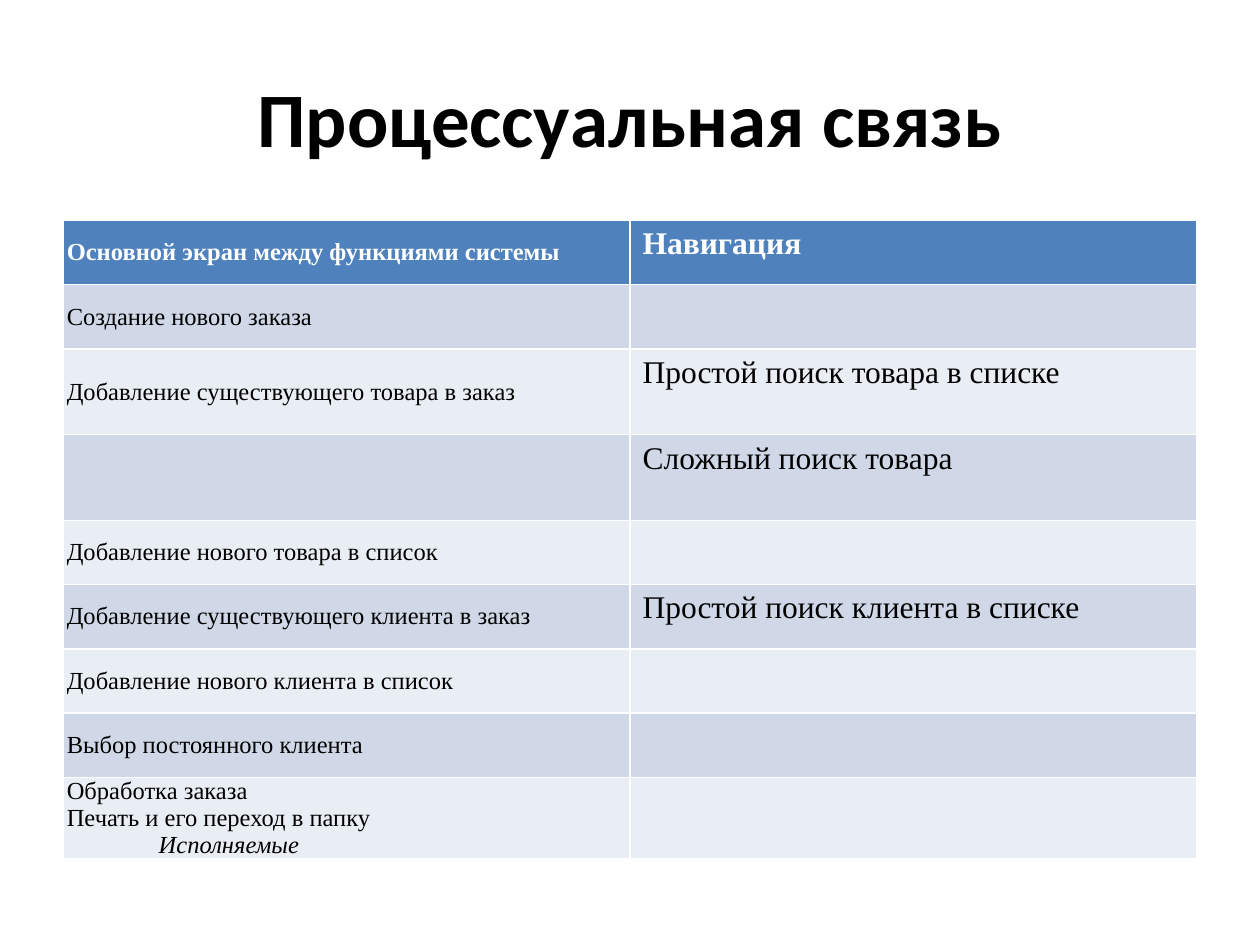
"""Build a slide with a table of process links between system functions."""
import pptx
import pptx.dml.color
import pptx.enum.text
import pptx.util

Inches, Pt = pptx.util.Inches, pptx.util.Pt
RGB = pptx.dml.color.RGBColor.from_string
ANCHOR = pptx.enum.text.MSO_ANCHOR
COLORS = {"header": "4F81BD", "odd": "D0D8E8", "even": "E9EDF4",
          "white": "FFFFFF", "black": "000000"}
ROWS = [
    (0.51, "Основной экран между функциями системы", "Навигация"),
    (0.51, "Создание нового заказа", ""),
    (0.68, "Добавление существующего товара в заказ", "Простой поиск товара в списке"),
    (0.68, "", "Сложный поиск товара"),
    (0.51, "Добавление нового товара в список", ""),
    (0.51, "Добавление существующего клиента в заказ", "Простой поиск клиента в списке"),
    (0.51, "Добавление нового клиента в список", ""),
    (0.51, "Выбор постоянного клиента", ""),
    (0.64, "Обработка заказа\nПечать и его переход в папку\nИсполняемые", ""),
]
FUNCTION_CELL = {"vertical_anchor": ANCHOR.MIDDLE,
                 "margin_left": Inches(0.03), "margin_right": Inches(0.03),
                 "margin_top": 0, "margin_bottom": 0}


def set_font(font, color, **values):
    font.color.rgb = RGB(COLORS[color])
    for name, value in values.items():
        setattr(font, name, value)


prs = pptx.Presentation()
prs.slide_width, prs.slide_height = Inches(10), Inches(7.5)
s = prs.slides.add_slide(prs.slide_layouts[5])

title = s.shapes.title
title.left, title.top = Inches(0.5), Inches(0.3)
title.width, title.height = Inches(9), Inches(1.25)
tf = title.text_frame
tf.text = "Процессуальная связь"
tf.vertical_anchor = ANCHOR.MIDDLE
p = tf.paragraphs[0]
p.alignment = pptx.enum.text.PP_ALIGN.CENTER
set_font(p.runs[0].font, "black", name="Calibri", size=Pt(44), bold=True)

height = sum(row[0] for row in ROWS)
table = s.shapes.add_table(len(ROWS), 2, Inches(0.5), Inches(1.75),
                           Inches(9), Inches(height)).table
for i, (row_height, *texts) in enumerate(ROWS):
    table.rows[i].height = Inches(row_height)
    fill = "header" if i == 0 else "odd" if i % 2 else "even"
    for j, text in enumerate(texts):
        cell = table.cell(i, j)
        cell.fill.solid()
        cell.fill.fore_color.rgb = RGB(COLORS[fill])
        if not text:
            continue
        if j == 0:
            for name, value in FUNCTION_CELL.items():
                setattr(cell, name, value)
        cell.text = text
        for p in cell.text_frame.paragraphs:
            set_font(p.runs[0].font, "black" if i else "white", name="Times New Roman",
                     size=Pt(18 if j else 14), bold=i == 0)

p = table.cell(len(ROWS) - 1, 0).text_frame.paragraphs[-1]
p.runs[0].font.italic = True
p._p.get_or_add_pPr().set("marL", str(Inches(0.73)))

prs.save("out.pptx")
